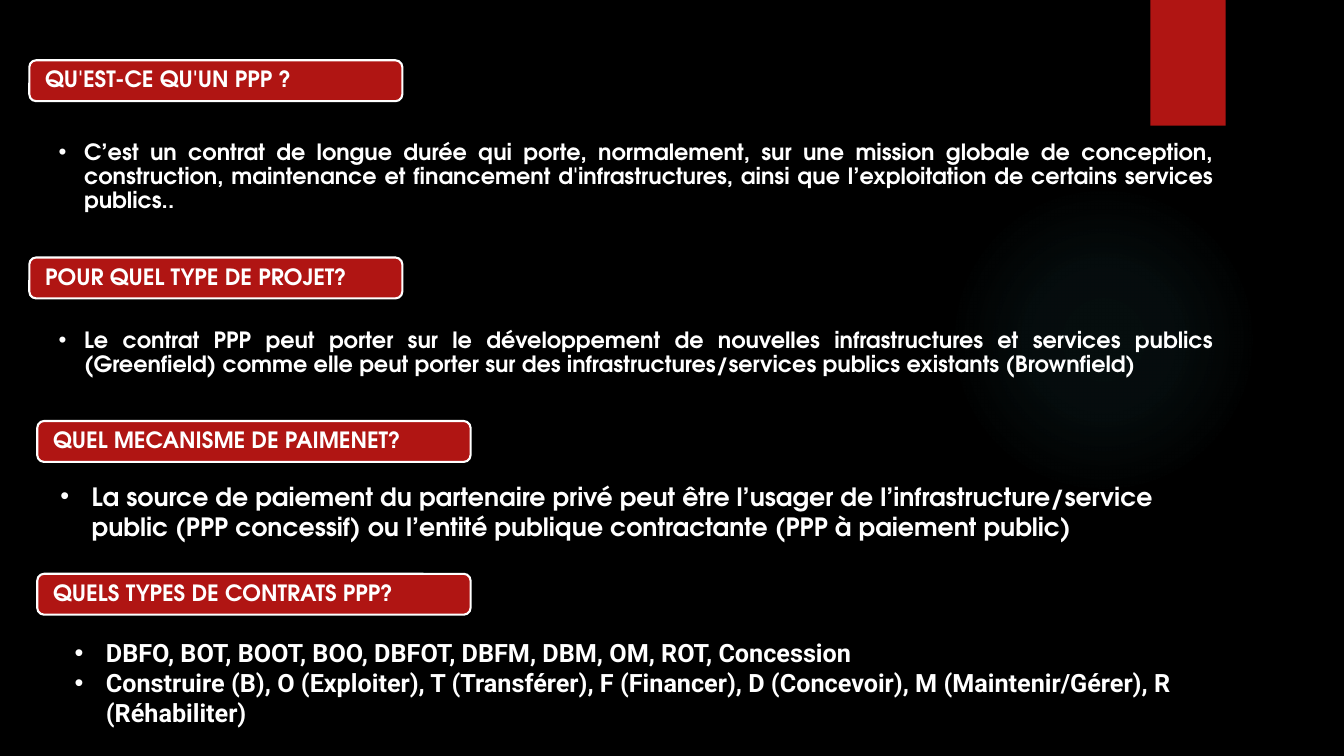
from collections import namedtuple

from lxml import etree
from pptx import Presentation
from pptx.dml.color import RGBColor
from pptx.enum.shapes import MSO_SHAPE
from pptx.enum.text import MSO_ANCHOR, PP_ALIGN
from pptx.oxml import parse_xml
from pptx.oxml.ns import nsdecls, qn
from pptx.util import Cm, Pt

BLACK = RGBColor(0x00, 0x00, 0x00)
WHITE = RGBColor(0xFF, 0xFF, 0xFF)
RED = RGBColor(0xB0, 0x15, 0x13)
TEAL = RGBColor(0x50, 0xB9, 0xC1)

RECTANGLE = MSO_SHAPE.RECTANGLE
ROUNDED = MSO_SHAPE.ROUNDED_RECTANGLE
ELLIPSE = MSO_SHAPE.OVAL
MIDDLE = MSO_ANCHOR.MIDDLE
TOP = MSO_ANCHOR.TOP
LEFT = PP_ALIGN.LEFT
JUSTIFY = PP_ALIGN.JUSTIFY

HEADING_FONT = "TeX Gyre Adventor"
LIST_FONT = "Roboto"
GLOW_STOPS = ((0, 7), (36, 6), (69, 0))

Box = namedtuple("Box", "left top width height")
BodyStyle = namedtuple("BodyStyle", "font size align spacing insets margin hanging")

JUSTIFIED = BodyStyle(HEADING_FONT, 16, JUSTIFY, 0.9, (0.97, 0.1, 0.53, 0.1), 0.64, 0.64)
PAYMENT = BodyStyle(HEADING_FONT, 18, LEFT, 1, (0.25, 0.13, 0.25, 0.13), 2.06, 0.79)
CONTRACTS = BodyStyle(LIST_FONT, 18, LEFT, 1, (0.25, 0.13, 0.25, 0.13), 0.79, 0.79)

SECTIONS = (
    (Box(0.74, 1.52, 9.4, 1.03), "QU'EST-CE QU'UN PPP ?",
     Box(-0.23, 1.93, 30.61, 3.86), JUSTIFIED,
     ("C’est un contrat de longue durée qui porte, normalement, sur une mission globale "
      "de conception, construction, maintenance et financement d'infrastructures, ainsi "
      "que l’exploitation de certains services publics..",)),
    (Box(0.74, 6.49, 9.4, 1.03), "POUR QUEL TYPE DE PROJET?",
     Box(-0.23, 1.71, 30.61, 3.86), JUSTIFIED,
     ("Le contrat PPP peut porter sur le développement de nouvelles infrastructures et "
      "services publics (Greenfield) comme elle peut porter sur des "
      "infrastructures/services publics existants (Brownfield)",)),
    (Box(0.94, 10.61, 10.92, 1.03), "QUEL MECANISME DE PAIMENET?",
     Box(-0.94, 1.38, 30.61, 1.8), PAYMENT,
     ("La source de paiement du partenaire privé peut être l’usager de "
      "l’infrastructure/service public (PPP concessif) ou l’entité publique "
      "contractante (PPP à paiement public)",)),
    (Box(0.94, 14.46, 10.92, 1.03), "QUELS TYPES DE CONTRATS PPP?",
     Box(0.69, 1.47, 31.67, 1.8), CONTRACTS,
     ("DBFO, BOT, BOOT, BOO, DBFOT, DBFM, DBM, OM, ROT, Concession",
      "Construire (B), O (Exploiter), T (Transférer), F (Financer), D (Concevoir), "
      "M (Maintenir/Gérer), R (Réhabiliter)")),
)


def lengths(box):
    return [Cm(value) for value in box]


def add_filled_shape(slide, kind, box, color):
    shape = slide.shapes.add_shape(kind, *lengths(box))
    shape.shadow.inherit = False
    shape.fill.solid()
    shape.fill.fore_color.rgb = color
    shape.line.fill.background()
    return shape


def prepare_frame(frame, insets, anchor):
    frame.word_wrap = True
    frame.vertical_anchor = anchor
    (frame.margin_left, frame.margin_top,
     frame.margin_right, frame.margin_bottom) = lengths(insets)


def add_run(paragraph, text, font, size):
    run = paragraph.add_run()
    run.text = text
    run.font.name = font
    run.font.size = Pt(size)
    run.font.bold = True
    run.font.color.rgb = WHITE


def add_bullet(paragraph, margin, hanging):
    properties = paragraph._p.get_or_add_pPr()
    properties.set("marL", str(Cm(margin)))
    properties.set("indent", str(-Cm(hanging)))
    etree.SubElement(properties, qn("a:buFont"), typeface="Arial")
    etree.SubElement(properties, qn("a:buChar"), char="•")


def add_glow(slide, box):
    glow = add_filled_shape(slide, ELLIPSE, box, TEAL)
    stops = "".join(
        f'<a:gs pos="{position * 1000}"><a:srgbClr val="{TEAL}">'
        f'<a:alpha val="{alpha * 1000}"/></a:srgbClr></a:gs>'
        for position, alpha in GLOW_STOPS)
    gradient = parse_xml(
        f'<a:gradFill {nsdecls("a")}><a:gsLst>{stops}</a:gsLst><a:path path="circle">'
        '<a:fillToRect l="50000" t="50000" r="50000" b="50000"/></a:path></a:gradFill>')
    properties = glow._element.spPr
    properties.replace(properties.find(qn("a:solidFill")), gradient)


def add_banner(slide, box, text):
    banner = add_filled_shape(slide, ROUNDED, box, RED)
    banner.line.color.rgb = WHITE
    banner.line.width = Pt(1.5)
    prepare_frame(banner.text_frame, (0.35, 0, 0.35, 0), MIDDLE)
    paragraph = banner.text_frame.paragraphs[0]
    paragraph.alignment = LEFT
    paragraph.line_spacing = 0.9
    add_run(paragraph, text, HEADING_FONT, 16)


def add_body(slide, box, style, texts):
    frame = slide.shapes.add_textbox(*lengths(box)).text_frame
    prepare_frame(frame, style.insets, TOP)
    for index, text in enumerate(texts):
        paragraph = frame.add_paragraph() if index else frame.paragraphs[0]
        paragraph.alignment = style.align
        paragraph.line_spacing = style.spacing
        add_bullet(paragraph, style.margin, style.hanging)
        add_run(paragraph, text, style.font, style.size)


def add_section(slide, banner_box, heading, offset, style, texts):
    add_banner(slide, banner_box, heading)
    body_box = offset._replace(left=banner_box.left + offset.left,
                               top=banner_box.top + offset.top)
    add_body(slide, body_box, style, texts)


def main():
    presentation = Presentation()
    presentation.slide_width = Cm(33.87)
    presentation.slide_height = Cm(19.05)
    slide = presentation.slides.add_slide(presentation.slide_layouts[6])
    slide.background.fill.solid()
    slide.background.fill.fore_color.rgb = BLACK
    add_glow(slide, Box(23.9, 4.65, 7.82, 7.82))
    add_filled_shape(slide, RECTANGLE, Box(28.99, 0, 1.9, 3.17), RED)
    for section in SECTIONS:
        add_section(slide, *section)
    presentation.save("out.pptx")


if __name__ == "__main__":
    main()
